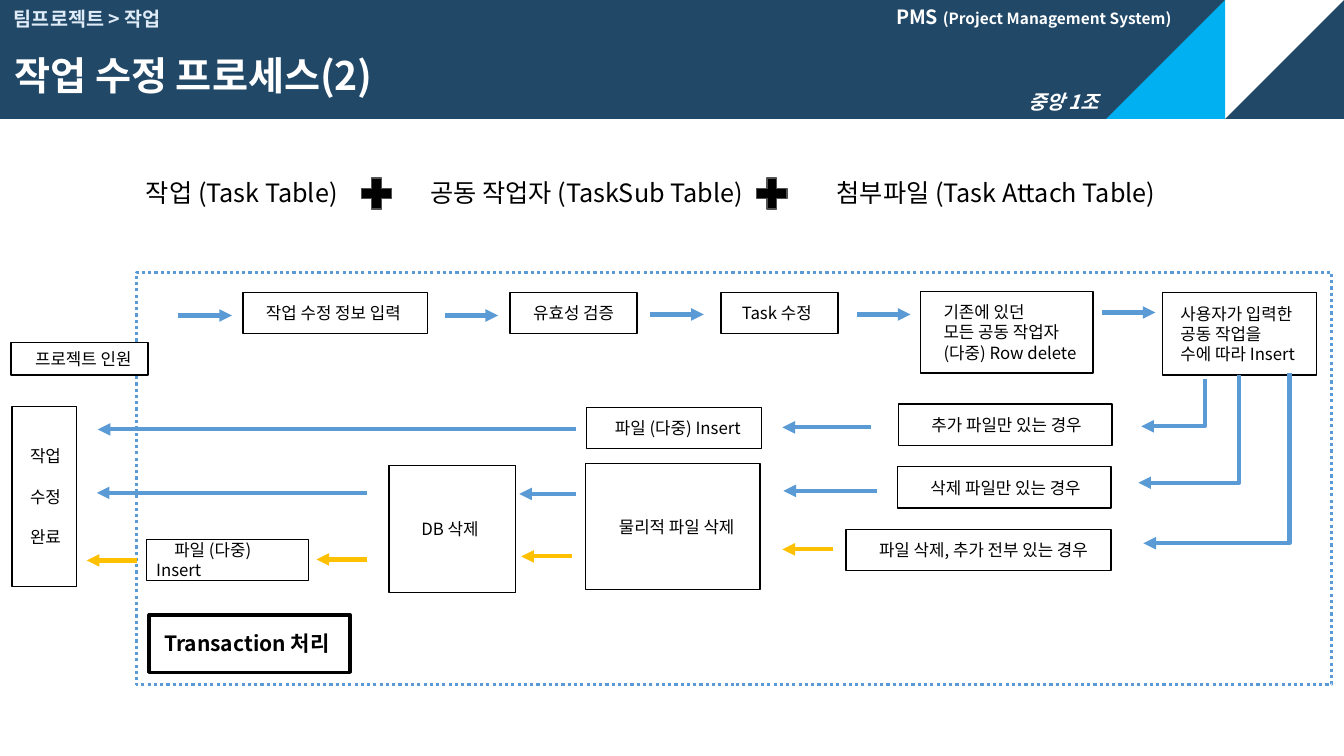
from dataclasses import dataclass

from lxml.etree import SubElement
from pptx import Presentation
from pptx.dml.color import RGBColor
from pptx.enum.dml import MSO_LINE_DASH_STYLE as Dash
from pptx.enum.shapes import MSO_CONNECTOR_TYPE as Link, MSO_SHAPE as Shape
from pptx.enum.text import MSO_ANCHOR as Anchor, MSO_AUTO_SIZE as Fit, PP_ALIGN as Align
from pptx.oxml.ns import qn
from pptx.util import Inches, Pt


@dataclass(frozen=True)
class Theme:
    font: str = "Noto Sans CJK KR"
    navy: str = "214867"
    cyan: str = "00B0F0"
    pale: str = "DEEBF7"
    white: str = "FFFFFF"
    black: str = "000000"
    grey: str = "525252"
    blue: str = "5B9BD5"
    gold: str = "FFC000"
    title: int = 28
    heading: int = 18
    strong: int = 15
    label: int = 14
    body: int = 12
    small: int = 11


THEME = Theme()
WIDTH, HEIGHT = Inches(13.33), Inches(7.5)
COLUMN, ROW = WIDTH / 133.3, HEIGHT / 75


@dataclass(frozen=True)
class Region:
    left: float
    top: float
    width: float
    height: float

    def point(self, x, y):
        return round((self.left + x) * COLUMN), round((self.top + y) * ROW)

    def place(self, x, y, width, height):
        return (*self.point(x, y), round(width * COLUMN), round(height * ROW))


def style(font, size, colour, bold=False, italic=False):
    font.size, font.bold, font.italic = Pt(size), bold, italic
    font.color.rgb = RGBColor.from_string(colour)
    font.name = THEME.font


def style_para(para, *look, **marks):
    para.alignment = Align.LEFT
    for span in para.runs:
        style(span.font, *look, **marks)
        SubElement(span.font._element, qn("a:ea"), typeface=THEME.font)


def add_block(page, kind, bounds, fill, line=None, weight=1):
    block = page.shapes.add_shape(kind, *bounds)
    block.shadow.inherit = False
    block.fill.solid()
    block.fill.fore_color.rgb = RGBColor.from_string(fill)
    if line:
        block.line.color.rgb = RGBColor.from_string(line)
        block.line.width = Pt(weight)
    else:
        block.line.fill.background()
    return block


def add_label(page, bounds, text, size, colour, **marks):
    label = page.shapes.add_textbox(*bounds)
    frame = label.text_frame
    frame.word_wrap = True
    frame.text = text
    style_para(frame.paragraphs[0], size, colour, **marks)
    return frame


def add_step(page, bounds, text, indent, size=THEME.body, weight=1, gap=0, bold=False):
    step = add_block(page, Shape.FLOWCHART_PROCESS, bounds, THEME.white, THEME.black, weight)
    frame = step.text_frame
    frame.word_wrap = True
    frame.vertical_anchor = Anchor.MIDDLE
    frame.text = text
    for index, para in enumerate(frame.paragraphs):
        para._p.get_or_add_pPr().set("indent", str(Inches(indent)))
        para.line_spacing = Pt(size * 1.2)
        if index:
            para.space_before = Pt(gap)
        style_para(para, size, THEME.black, bold=bold)


def add_arrow(page, kind, start, end, colour, arrow="a:tailEnd"):
    link = page.shapes.add_connector(kind, *start, *end)
    link.line.color.rgb = RGBColor.from_string(colour)
    link.line.width = Pt(3)
    SubElement(link.line._get_or_add_ln(), qn(arrow), type="triangle")
    SubElement(link._element.spPr, qn("a:effectLst"))
    return link


def add_elbow(page, start, end, colour):
    link = add_arrow(page, Link.ELBOW, end, start, colour, "a:headEnd")
    geometry = link._element.spPr.find(qn("a:prstGeom"))
    guides = geometry.find(qn("a:avLst"))
    if guides is None:
        guides = SubElement(geometry, qn("a:avLst"))
    SubElement(guides, qn("a:gd"), name="adj1", fmla="val 100000")


def build_header(page, region):
    side = region.height
    add_block(page, Shape.RECTANGLE, region.place(0, 0, region.width, side), THEME.navy)
    for order, (colour, turn) in enumerate([(THEME.white, 90), (THEME.cyan, 270)], 1):
        corner = region.place(region.width - order * side, 0, side, side)
        add_block(page, Shape.RIGHT_TRIANGLE, corner, colour).rotation = turn
    add_label(page, region.place(101, 8.4, 9, 3.4), "중앙 1조", THEME.label, THEME.white,
              bold=True, italic=True)
    system = add_label(page, region.place(87.9, 0, 30.3, 3.4), "PMS ",
                       THEME.label, THEME.white, bold=True)
    system.vertical_anchor = Anchor.MIDDLE
    para = system.paragraphs[0]
    detail = para.add_run()
    detail.text = "(Project Management System)"
    style(detail.font, THEME.small, THEME.white, bold=True)
    SubElement(detail.font._element, qn("a:ea"), typeface=THEME.font)
    crumbs = add_label(page, region.place(0.4, 0, 82.6, 3.7), "팀프로젝트 > 작업",
                       THEME.label, THEME.pale, bold=True)
    crumbs.vertical_anchor = Anchor.MIDDLE

    title = page.shapes.title
    title.left, title.top, title.width, title.height = region.place(0.4, 3.8, 85.3, 7.3)
    title.text_frame.text = "작업 수정 프로세스(2)"
    title.text_frame.auto_size = Fit.NONE
    title.text_frame.vertical_anchor = Anchor.MIDDLE
    style_para(title.text_frame.paragraphs[0], THEME.title, THEME.white, bold=True)
    title.element.getparent().append(title.element)


def build_tables(page, region):
    names = ["작업 (Task Table)", "공동 작업자 (TaskSub Table)", "첨부파일 (Task Attach Table)"]
    frame = add_label(page, region.place(0, 0, region.width, region.height),
                      "\t" + "\t".join(names), THEME.heading, THEME.black)
    stops = SubElement(frame.paragraphs[0]._p.get_or_add_pPr(), qn("a:tabLst"))
    for stop in (1.16, 3.98, 8.01):
        SubElement(stops, qn("a:tab"), pos=str(Inches(stop)), algn="l")
    for x in (33.4, 72.6):
        plus = add_block(page, Shape.MATH_PLUS, region.place(x, 0, 4.1, 4.2),
                         THEME.black, THEME.grey)
        plus.adjustments[0] = 0.235


def build_flow(page, region):
    frame = add_block(page, Shape.RECTANGLE,
                      region.place(13.5, 0, region.width - 14.7, region.height),
                      THEME.white, THEME.blue, 2.25)
    frame.line.dash_style = Dash.ROUND_DOT

    steps = [
        (1.1, 7, 13.6, 3.2, "프로젝트 인원", 0.14),
        (24.1, 2, 18.3, 4.1, "작업 수정 정보 입력", 0.13),
        (50.6, 2, 12.6, 4.1, "유효성 검증", 0.13),
        (71.5, 2, 11.6, 4.1, "Task 수정", 0.11),
        (91.3, 1.9, 17.1, 8.1, "기존에 있던\n모든 공동 작업자\n(다중) Row delete", 0.13),
        (115.3, 2, 15.3, 8.2, "사용자가 입력한\n공동 작업을\n수에 따라 Insert", 0.08),
        (89.1, 13.1, 21.2, 4.1, "추가 파일만 있는 경우", 0.23),
        (89, 19.3, 21.2, 4.1, "삭제 파일만 있는 경우", 0.23),
        (83.9, 25.5, 26.3, 4.1, "파일 삭제, 추가 전부 있는 경우", 0.23),
        (58.2, 13.4, 17.3, 4.1, "파일 (다중) Insert", 0.18),
        (58.1, 19, 17.3, 12.5, "물리적 파일 삭제", 0.23),
        (38.6, 19.2, 12.5, 12.6, "DB 삭제", 0.22),
        (14.5, 26.5, 16.1, 4.1, "파일 (다중) Insert", 0.18),
    ]
    for *bounds, text, indent in steps:
        add_step(page, region.place(*bounds), text, indent)
    add_step(page, region.place(1.2, 13.3, 6.4, 17.9), "작업\n수정\n완료", 0.08, gap=14.5)
    add_step(page, region.place(14.8, 34, 19.9, 5.7), "Transaction 처리", 0.05,
             size=THEME.strong, weight=2.5, bold=True)

    arrows = {
        THEME.blue: [
            (17.7, 23, 4.3), (44.1, 49.4, 4.3), (64.5, 69.8, 4.2), (85, 90.3, 4.2),
            (109.3, 114.6, 4), (86.4, 77.6, 15.4), (87, 77.7, 21.7),
            (57.1, 51.5, 22), (57.1, 9.7, 15.6), (36.4, 9.6, 21.9),
        ],
        THEME.gold: [
            (82.6, 77.6, 27.5), (56.7, 51.7, 28.2), (36.4, 31.4, 28.5), (13.6, 8.6, 28.6),
        ],
    }
    for colour, spans in arrows.items():
        for start, end, y in spans:
            add_arrow(page, Link.STRAIGHT, region.point(start, y), region.point(end, y), colour)
    for x, top, end, y in [(119.5, 10.6, 113.2, 15.3), (122.9, 10.2, 112.9, 20.9),
                           (127.9, 10, 113.4, 26.9)]:
        add_elbow(page, region.point(x, top), region.point(end, y), THEME.blue)


def main():
    deck = Presentation()
    deck.slide_width, deck.slide_height = WIDTH, HEIGHT
    page = deck.slides.add_slide(deck.slide_layouts.get_by_name("Title Only"))
    build_header(page, Region(0, 0, 133.3, 11.8))
    build_tables(page, Region(1.9, 17.1, 125.7, 4.6))
    build_flow(page, Region(0, 27, 133.3, 40.9))
    deck.save("out.pptx")


if __name__ == "__main__":
    main()
